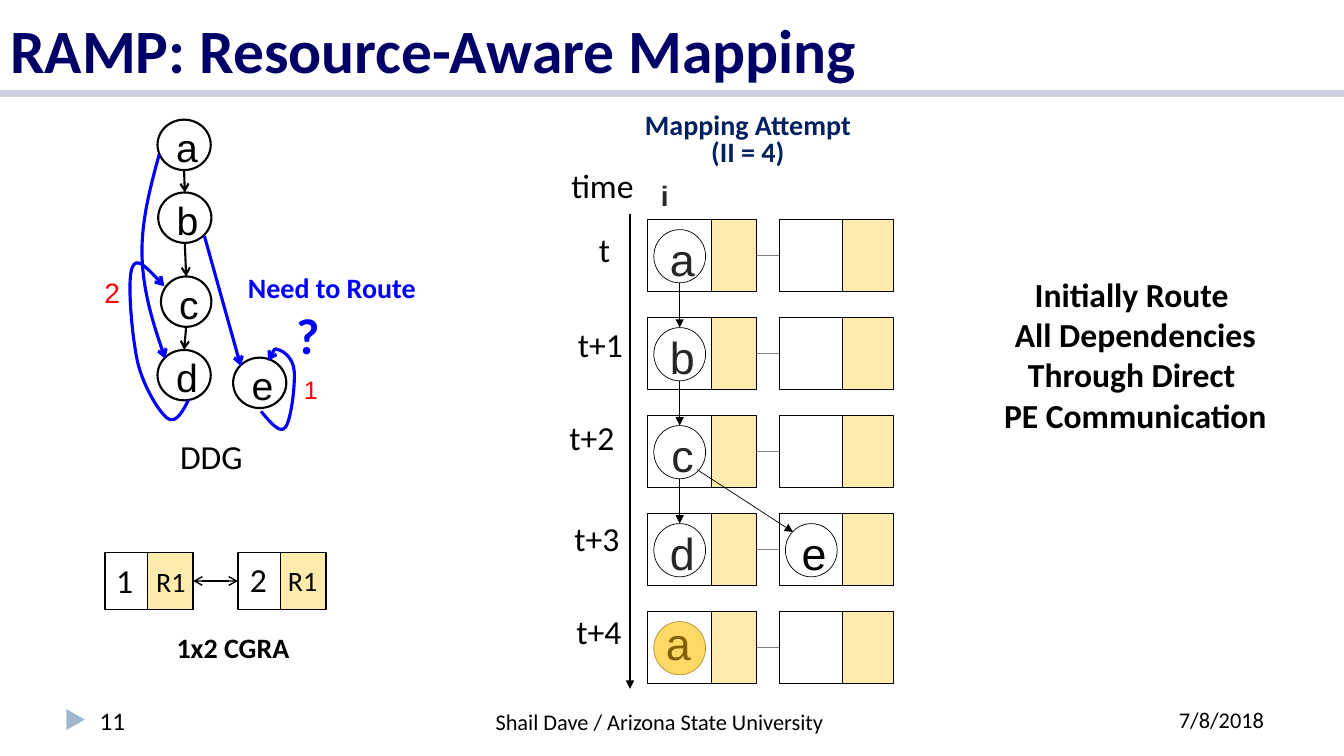
"""Build the resource-aware mapping slide."""
from lxml import etree
from pptx import Presentation, util as u
from pptx.dml.color import RGBColor
from pptx.enum import shapes, text
from pptx.oxml.ns import qn


class Theme:
    """Colours, fonts and type sizes of the slide."""
    black, white, ink, grey = "000000", "FFFFFF", "262626", "808080"
    navy, heading, route, distance = "000066", "002060", "0000FF", "FF0000"
    register, repeat, repeat_edge, repeat_text = "FFEBAB", "FFD966", "B2922E", "806000"
    rule, marker = "CCD0E0", "9FB8CD"
    sans, letter = "Calibri", "Arial"
    title, question, cell, node, label, small, page, foot = 44, 36, 32, 28, 24, 20, 18, 16


T = Theme
TITLE = "RAMP: Resource-Aware Mapping"

DDG_NODES = {"a": (112.5, 85.5, 38), "b": (113, 137.5, 38), "c": (115, 197.5, 36),
             "d": (112.5, 250, 38), "e": (166.5, 255.5, 38)}
DDG_CHAIN = "abcd"
NODE_HEIGHT = 36
ROUTE_LINE = (146, 168.5, 172, 261.5)
ROUTE_CURVES = [
    [(134.6, 285.8), (130.3, 294.5), (125.3, 303.1), (119.5, 298.8), (113.8, 294.5),
     (103, 277.2), (98.6, 259.9), (94.3, 241.9), (90.7, 200.9), (94.3, 191.5),
     (97.2, 182.9), (107.3, 193.7), (117.4, 204.5)],
    [(113.8, 110.2), (107.3, 133.9), (100.8, 158.4), (101.5, 182.9), (102.2, 206.6),
     (109.4, 231.8), (118.1, 256.3)],
    [(186.5, 293.8), (193, 301.7), (200.2, 310.3), (203.8, 305.3), (208.1, 300.2),
     (211, 274.3), (210.2, 265), (209.5, 255.6), (202.3, 250.6), (198.7, 249.8),
     (195.8, 248.4), (193.7, 253.4), (191.5, 257.8)],
]

TIME_STEPS = [("t", (421, 160, 22, 36), "a", ""), ("t+1", (405, 227.5, 47, 36), "b", ""),
              ("t+2", (399, 294.5, 47, 36), "c", ""), ("t+3", (402.5, 366.5, 47, 36), "d", "e"),
              ("t+4", (404, 433, 47, 36), "", "")]
STEP_TOP, STEP_PITCH, PE_HEIGHT = 157, 70, 51
PE_COLUMNS = [(462.5, 45.5, 32.5), (556.5, 45.5, 36)]
OP_COLUMNS, OP_OFFSET, OP_SIZE = (467, 561), 7, (37, 38)
TIME_AXIS = (450, 153, 450, 492)
ROUTED_EDGE = (498, 335.5, 566.5, 380)

CGRA_PES = (75, 170)
CGRA_TOP, CGRA_HEIGHT, CGRA_CELL, CGRA_REGISTER = 394.5, 41, 30.5, 32.5

LABELS = [
    ("Shail Dave / Arizona State University", (345.5, 502, 251, 27), T.foot, T.black, "c", False, False),
    ("11", (64, 500.5, 135, 29), T.page, T.black, "l", False, True),
    ("7/8/2018", (821, 500.5, 103, 29), T.foot, T.black, "c", False, True),
    ("DDG", (121.5, 308, 73.5, 36), T.label, T.black, "l", False, True),
    ("time", (401, 114, 60.5, 36), T.label, T.black, "l", False, False),
    ("1", (71.5, 396.5, 35, 59), T.label, T.black, "c", False, False),
    ("2", (167, 395.5, 35, 59), T.label, T.black, "c", False, False),
    ("R1", (104.5, 399.5, 46, 31.5), T.small, T.black, "l", False, True),
    ("R1", (198.5, 399, 46, 31.5), T.small, T.black, "l", False, True),
    ("1x2 CGRA", (119, 447, 96, 31.5), T.small, T.black, "l", True, False),
    ("Mapping Attempt\v(II = 4)", (379.5, 78, 309.5, 47), T.small, T.heading, "c", True, True),
    ("Initially Route \vAll Dependencies\nThrough Direct \vPE Communication",
     (692.5, 192, 237, 124), T.label, T.black, "c", True, False),
    ("Need to Route", (170, 189.5, 135.5, 31.5), T.small, T.route, "l", True, False),
    ("?", (204.5, 214, 20, 51), T.question, T.route, "l", True, True),
]
LETTER_LABELS = [
    ("2", (67.5, 193, 44, 31.5), T.small, T.distance, "l", False, True),
    ("1", (210, 264, 24.5, 29), T.page, T.distance, "l", False, False),
    ("i", (465, 124, 25, 31.5), T.small, T.ink, "l", True, True),
    ("a", (468.5, 436.5, 32.5, 46), T.cell, T.repeat_text, "l", False, False),
]
ALIGN = {"l": text.PP_ALIGN.LEFT, "c": text.PP_ALIGN.CENTER, "r": text.PP_ALIGN.RIGHT}
KIND = shapes.MSO_SHAPE


def assign(target, **values):
    for name, value in values.items():
        setattr(target, name, value)


def points(values):
    return [u.Pt(value) for value in values]


def write(frame, words, size, color, align="c", bold=False, wrap=False, font=T.sans):
    assign(frame, text=words, word_wrap=wrap, auto_size=text.MSO_AUTO_SIZE.NONE)
    for paragraph in frame.paragraphs:
        paragraph.alignment = ALIGN[align]
        assign(paragraph.font, name=font, size=u.Pt(size), bold=bold)
        paragraph.font.color.rgb = RGBColor.from_string(color)


def label(slide, words, box, *style, **options):
    frame = slide.shapes.add_textbox(*points(box)).text_frame
    write(frame, words, *style, **options)
    return frame


def stroke(item, color, width, ends=()):
    item.line.color.rgb = RGBColor.from_string(color)
    item.line.width = u.Pt(width)
    outline = item._element.spPr.find(qn("a:ln"))
    for end, head in ends:
        etree.SubElement(outline, qn(f"a:{end}End"), type=head)


def block(slide, kind, box, fill, edge=None, width=0.5):
    item = slide.shapes.add_shape(kind, *points(box))
    item.shadow.inherit = False
    item.fill.solid()
    item.fill.fore_color.rgb = RGBColor.from_string(fill)
    if edge:
        stroke(item, edge, width)
    else:
        item.line.fill.background()
    return item


def circle(slide, box, letter, size, color, width):
    frame = block(slide, KIND.OVAL, box, T.white, T.black, width).text_frame
    write(frame, letter, size, color, font=T.letter)
    assign(frame, margin_left=u.Pt(4), margin_right=0, margin_top=u.Pt(3), margin_bottom=0,
           vertical_anchor=text.MSO_ANCHOR.MIDDLE)


def link(slide, ends, color, width, heads=(), joined=None):
    item = slide.shapes.add_connector(shapes.MSO_CONNECTOR.STRAIGHT, *points(ends))
    if joined:
        item.begin_connect(joined[0], 3)
        item.end_connect(joined[1], 1)
    stroke(item, color, width, heads)
    etree.SubElement(item._element.spPr, qn("a:effectLst"))


def curve(slide, knots):
    start, *rest = [points(knot) for knot in knots]
    builder = slide.shapes.build_freeform(*start)
    builder.add_line_segments(rest, close=False)
    item = builder.convert_to_shape()
    item.shadow.inherit = False
    item.fill.background()
    stroke(item, T.route, 2.25, [("tail", "arrow")])
    outline = next(item._element.iter(qn("a:path")))
    segments = outline.findall(qn("a:lnTo"))
    for first in range(0, len(segments), 3):
        bend = etree.SubElement(outline, qn("a:cubicBezTo"))
        for segment in segments[first:first + 3]:
            bend.append(segment[0])
            outline.remove(segment)


def draw_ddg(slide):
    for upper, lower in zip(DDG_CHAIN, DDG_CHAIN[1:]):
        (x1, y1, w1), (x2, y2, w2) = DDG_NODES[upper], DDG_NODES[lower]
        link(slide, (x1 + w1 / 2, y1 + NODE_HEIGHT, x2 + w2 / 2, y2), T.black, 1.5, [("tail", "arrow")])
    for letter, (x, y, width) in DDG_NODES.items():
        circle(slide, (x, y, width, NODE_HEIGHT), letter, T.node, T.black, 1.5)
    link(slide, ROUTE_LINE, T.route, 2.25, [("tail", "arrow")])
    for knots in ROUTE_CURVES:
        curve(slide, knots)


def draw_schedule(slide):
    axis = OP_COLUMNS[0] + OP_SIZE[0] / 2
    for row, (step, box, *ops) in enumerate(TIME_STEPS):
        top = STEP_TOP + row * STEP_PITCH
        cells = []
        for left, cell, register in PE_COLUMNS:
            cells += [block(slide, KIND.RECTANGLE, (x, top, width, PE_HEIGHT), fill, T.black)
                      for x, width, fill in ((left, cell, T.white), (left + cell, register, T.register))]
        link(slide, (0, 0, 0, 0), T.grey, 0.5, joined=cells[1:3])
        for x, letter, color in zip(OP_COLUMNS, ops, (T.ink, T.black)):
            if letter:
                circle(slide, (x, top + OP_OFFSET, *OP_SIZE), letter, T.cell, color, 0.5)
        if row and ops[0]:
            end = top + OP_OFFSET
            link(slide, (axis, end - STEP_PITCH + OP_SIZE[1], axis, end), T.black, 0.5, [("tail", "triangle")])
        label(slide, step, box, T.label, T.black, "r")
    block(slide, KIND.OVAL, (OP_COLUMNS[0], top + OP_OFFSET, *OP_SIZE), T.repeat, T.repeat_edge)
    link(slide, ROUTED_EDGE, T.black, 0.5, [("tail", "triangle")])
    link(slide, TIME_AXIS, T.black, 1.5, [("tail", "triangle")])


def draw_cgra(slide):
    cells = [block(slide, KIND.RECTANGLE, (x, CGRA_TOP, width, CGRA_HEIGHT), fill, T.black, 1)
             for left in CGRA_PES
             for x, width, fill in ((left, CGRA_CELL, T.white),
                                    (left + CGRA_CELL, CGRA_REGISTER, T.register))]
    link(slide, (0, 0, 0, 0), T.black, 1, [("head", "arrow"), ("tail", "arrow")], cells[1:3])


def main():
    deck = Presentation()
    assign(deck, slide_width=u.Pt(960), slide_height=u.Pt(540))
    slide = deck.slides.add_slide(deck.slide_layouts[5])
    link(slide, (0, 66.5, 960, 66.5), T.rule, 5)
    block(slide, KIND.ISOSCELES_TRIANGLE, (46.5, 507.5, 15, 13), T.marker).rotation = 90
    title = slide.shapes.title
    assign(title, left=0, top=0, width=u.Pt(960), height=u.Pt(65))
    write(title.text_frame, TITLE, T.title, T.navy, "l", True, True)
    title.text_frame.vertical_anchor = text.MSO_ANCHOR.BOTTOM
    draw_ddg(slide)
    draw_schedule(slide)
    draw_cgra(slide)
    for entry in LABELS:
        frame = label(slide, *entry)
        if entry[0].startswith("Mapping"):
            frame.paragraphs[0].line_spacing = 0.8
    for entry in LETTER_LABELS:
        label(slide, *entry, font=T.letter)
    deck.save("out.pptx")


if __name__ == "__main__":
    main()
